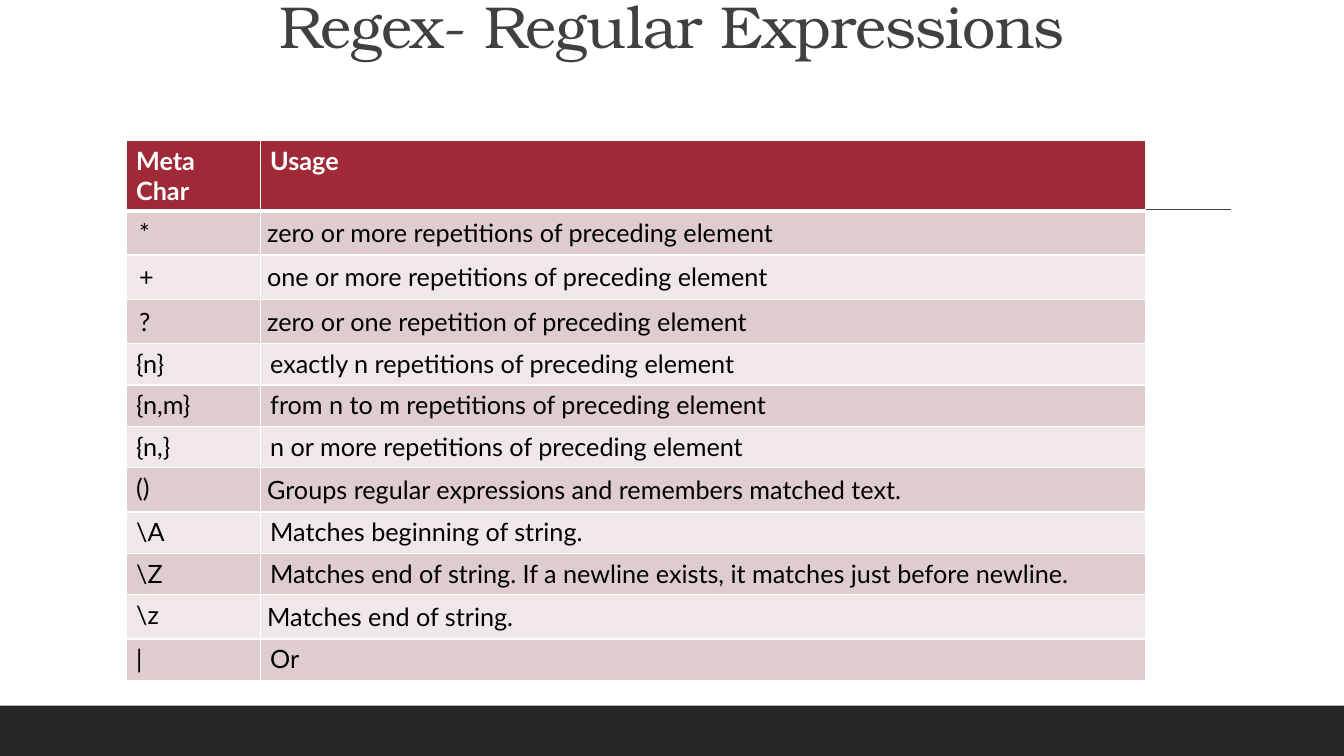
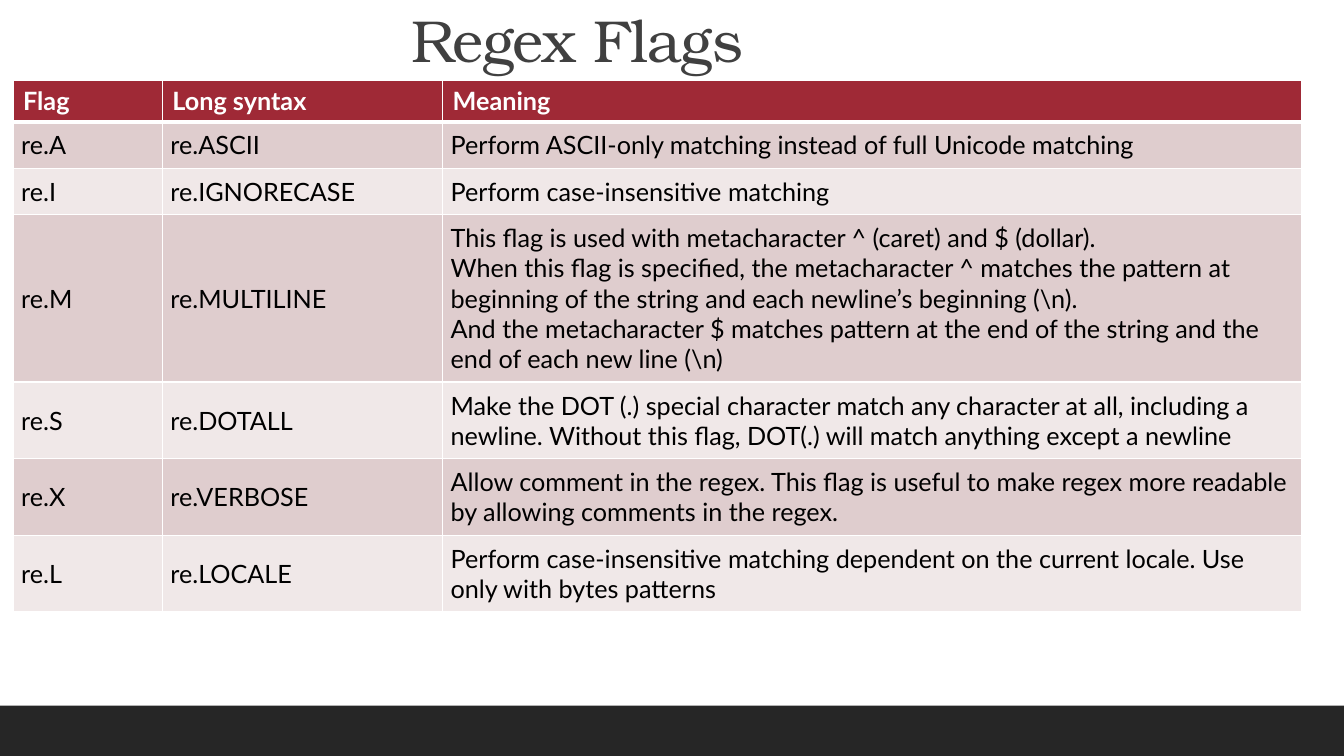
from lxml import etree
from pptx import Presentation
from pptx.dml.color import RGBColor
from pptx.enum.shapes import MSO_CONNECTOR, MSO_SHAPE
from pptx.enum.text import MSO_ANCHOR, MSO_AUTO_SIZE, PP_ALIGN
from pptx.oxml.ns import qn
from pptx.util import Inches, Pt

RECT = MSO_SHAPE.RECTANGLE
LINE = MSO_CONNECTOR.STRAIGHT
TOP, MIDDLE, BOTTOM = MSO_ANCHOR.TOP, MSO_ANCHOR.MIDDLE, MSO_ANCHOR.BOTTOM
CENTER = PP_ALIGN.CENTER
NO_FIT = MSO_AUTO_SIZE.NONE

COLORS = {
    "band": "262626",
    "title": "404040",
    "head": "9F2936",
    "odd": "DFCDCE",
    "even": "F0E8E8",
    "white": "FFFFFF",
    "black": "000000",
}
SERIF, SANS = "TeX Gyre Bonum", "Lato"
WIDTH, HEIGHT = 13.33, 7.5
ROW = 0.41  # least row height; rows grow with their text

# Cell insets: left, top, right, bottom
PLAIN = (0.1, 0.05, 0.1, 0.05)
SNUG = (0.07, 0.07, 0.07, 0.07)
SHIFTED = (0.13, 0.07, 0.07, 0.07)
EVEN = (0.08, 0.08, 0.08, 0.08)

CHARS = [
    ("Meta Char", "Usage"),
    ("*", "zero or more repetitions of preceding element"),
    ("+", "one or more repetitions of preceding element"),
    ("?", "zero or one repetition of preceding element"),
    ("{n}", "exactly n repetitions of preceding element"),
    ("{n,m}", "from n to m repetitions of preceding element"),
    ("{n,}", "n or more repetitions of preceding element"),
    ("()", "Groups regular expressions and remembers matched text."),
    ("\\A", "Matches beginning of string."),
    ("\\Z", "Matches end of string. If a newline exists, "
            "it matches just before newline."),
    ("\\z", "Matches end of string."),
    ("|", "Or"),
]
CHAR_PADS = {(row, 0): SHIFTED for row in (1, 2, 3)}
CHAR_PADS.update({(row, 1): SNUG for row in (1, 2, 3, 7, 10)})

FLAGS = [
    ("Flag", "Long syntax", "Meaning"),
    ("re.A", "re.ASCII",
     "Perform ASCII-only matching instead of full Unicode matching"),
    ("re.I", "re.IGNORECASE", "Perform case-insensitive matching"),
    ("re.M", "re.MULTILINE",
     "This flag is used with metacharacter ^ (caret) and $ (dollar).\n"
     "When this flag is specified, the metacharacter ^ matches the pattern "
     "at beginning of the string and each newline’s beginning (\\n).\n"
     "And the metacharacter $ matches pattern at the end of the string "
     "and the end of each new line (\\n)"),
    ("re.S", "re.DOTALL",
     "Make the DOT (.) special character match any character at all, "
     "including a newline. Without this flag, DOT(.) will match anything "
     "except a newline"),
    ("re.X", "re.VERBOSE",
     "Allow comment in the regex. This flag is useful to make regex more "
     "readable by allowing comments in the regex."),
    ("re.L", "re.LOCALE",
     "Perform case-insensitive matching dependent on the current locale. "
     "Use only with bytes patterns"),
]
FLAG_PADS = {(row, col): EVEN for row in range(1, len(FLAGS))
             for col in range(3)}


def color(name):
    return RGBColor.from_string(COLORS[name])


def style(frame, font, size, tint, bold=False):
    for para in frame.paragraphs:
        for run in para.runs:
            run.font.name = font
            run.font.size = Pt(size)
            run.font.bold = bold
            run.font.color.rgb = color(tint)


# Band and rule shared by all slides
def add_base(deck):
    slide = deck.slides.add_slide(deck.slide_layouts[6])
    band = slide.shapes.add_shape(
        RECT, 0, Inches(7), Inches(WIDTH), Inches(0.5))
    band.shadow.inherit = False
    band.fill.solid()
    band.fill.fore_color.rgb = color("band")
    band.line.fill.background()

    rule = slide.shapes.add_connector(
        LINE, Inches(1.31), Inches(2.08), Inches(12.21), Inches(2.08))
    rule.line.color.rgb = color("title")
    rule.line.width = Pt(1)
    etree.SubElement(rule._element.spPr, qn("a:effectLst"))
    return slide


def add_title(slide, text, left, top, height):
    box = slide.shapes.add_textbox(
        Inches(left), Inches(top), Inches(10.83), Inches(height))
    frame = box.text_frame
    frame.word_wrap = True
    frame.auto_size = NO_FIT
    frame.vertical_anchor = BOTTOM
    frame.text = text
    para = frame.paragraphs[0]
    para.alignment = CENTER
    para.line_spacing = 0.9
    style(frame, SERIF, 42.3, "title")
    para.runs[0].font._element.set("spc", "-50")


# White cell edges, heavier under the header
def add_edges(cell, is_head):
    props = cell._tc.get_or_add_tcPr()
    for place, side in enumerate(("lnL", "lnR", "lnT", "lnB")):
        width = Pt(3) if is_head and side == "lnB" else Pt(1)
        edge = etree.Element(qn("a:" + side), w=str(width))
        fill = etree.SubElement(edge, qn("a:solidFill"))
        etree.SubElement(fill, qn("a:srgbClr"), val=COLORS["white"])
        props.insert(place, edge)


def fill_cell(cell, text, row, pad, anchor):
    is_head = row == 0
    cell.text_frame.text = text
    style(cell.text_frame, SANS, 18, "white" if is_head else "black", is_head)
    (cell.margin_left, cell.margin_top,
     cell.margin_right, cell.margin_bottom) = map(Inches, pad)
    cell.vertical_anchor = TOP if is_head else anchor
    cell.fill.solid()
    cell.fill.fore_color.rgb = color(
        "head" if is_head else "odd" if row % 2 else "even")
    add_edges(cell, is_head)


def add_grid(slide, left, top, widths, rows, pads, anchor):
    table = slide.shapes.add_table(
        len(rows), len(widths), Inches(left), Inches(top),
        Inches(sum(widths)), Inches(ROW * len(rows))).table
    table.horz_banding = False
    for col, width in zip(table.columns, widths):
        col.width = Inches(width)
    for row, texts in enumerate(rows):
        table.rows[row].height = Inches(ROW)
        for col, text in enumerate(texts):
            pad = pads.get((row, col), PLAIN)
            fill_cell(table.cell(row, col), text, row, pad, anchor)


def main():
    deck = Presentation()
    deck.slide_width, deck.slide_height = Inches(WIDTH), Inches(HEIGHT)

    # Meta characters
    slide = add_base(deck)
    add_title(slide, "Regex- Regular Expressions", 1.25, 0.17, 0.49)
    add_grid(slide, 1.25, 1.39, (1.33, 8.78), CHARS, CHAR_PADS, TOP)

    # Flags
    slide = add_base(deck)
    add_title(slide, "Regex Flags", 0.31, 0, 0.8)
    add_grid(slide, 0.13, 0.8, (1.48, 2.78, 8.52), FLAGS, FLAG_PADS, MIDDLE)

    deck.save("out.pptx")


if __name__ == "__main__":
    main()
